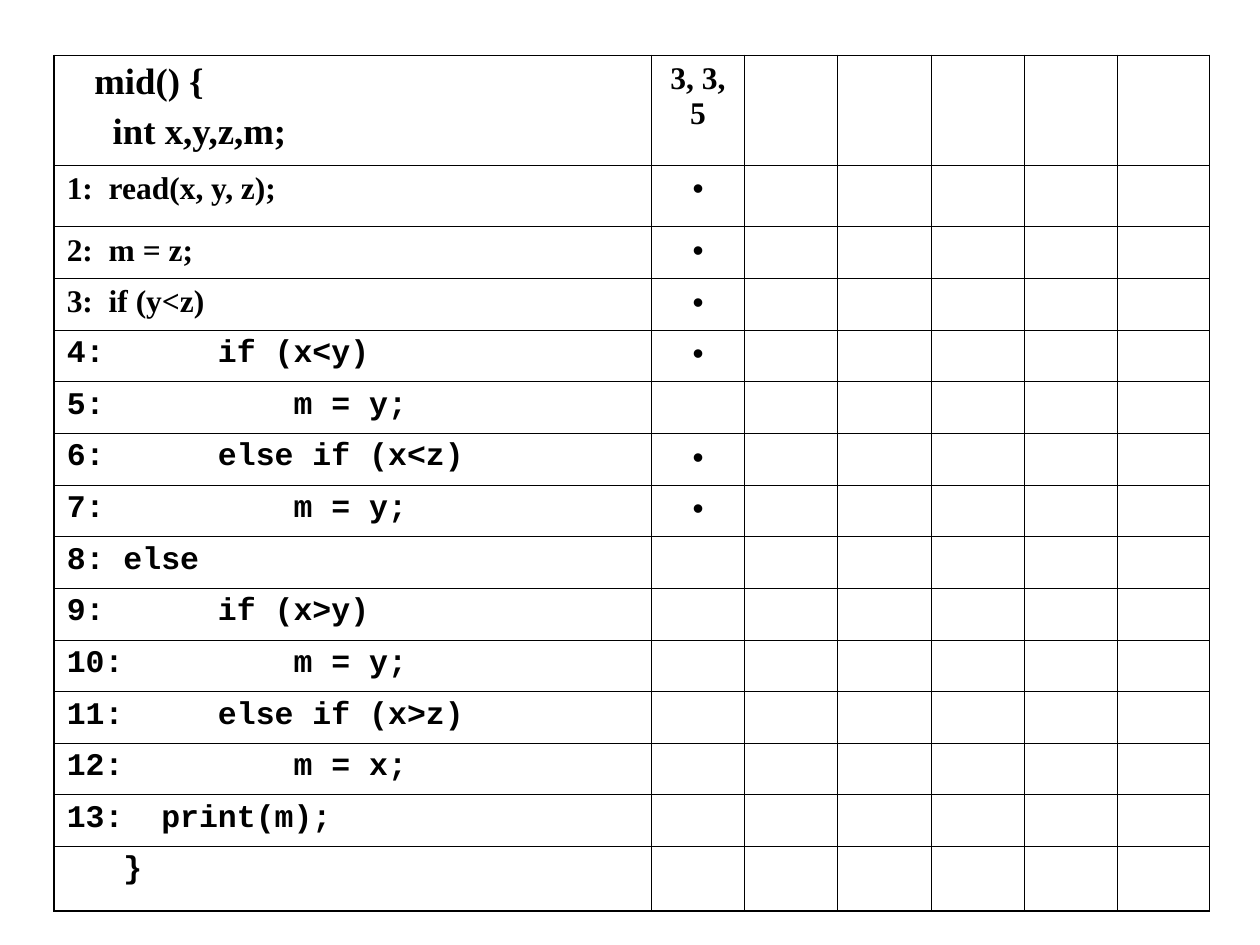
from dataclasses import dataclass

from lxml import etree
from pptx import Presentation
from pptx.dml.color import RGBColor
from pptx.enum.text import PP_ALIGN
from pptx.oxml.ns import qn
from pptx.util import Inches, Pt

CENTER = PP_ALIGN.CENTER
LEFT = PP_ALIGN.LEFT


@dataclass(frozen=True)
class Theme:
    ink: str = "000000"
    paper: str = "FFFFFF"
    serif: str = "Times New Roman"
    mono: str = "Courier New"
    mark: str = "Arial"
    header_size: float = 21
    body_size: float = 18
    header_gap: float = 5.2
    outer_line: float = 1.08
    inner_line: float = 0.45


THEME = Theme()

HEADER = ["   mid() {", "     int x,y,z,m;"]
TEST_INPUT = "3, 3, 5"
STATEMENTS = [
    ("1:  read(x, y, z);", THEME.serif, True),
    ("2:  m = z;", THEME.serif, True),
    ("3:  if (y<z)", THEME.serif, True),
    ("4:      if (x<y)", THEME.mono, True),
    ("5:          m = y;", THEME.mono, False),
    ("6:      else if (x<z)", THEME.mono, True),
    ("7:          m = y;", THEME.mono, True),
    ("8: else", THEME.mono, False),
    ("9:      if (x>y)", THEME.mono, False),
    ("10:         m = y;", THEME.mono, False),
    ("11:     else if (x>z)", THEME.mono, False),
    ("12:         m = x;", THEME.mono, False),
    ("13:  print(m);", THEME.mono, False),
    ("   }", THEME.mono, False),
]

TABLE_LEFT, TABLE_TOP = 0.43, 0.44
COLUMN_WIDTHS = [4.74] + [0.74] * 5 + [0.73]
ROW_HEIGHTS = [0.87, 0.49] + [0.41] * 12 + [0.51]


def write(cell, lines, font, size, bold=True, align=LEFT):
    cell.text_frame.text = "\n".join(lines)
    for index, paragraph in enumerate(cell.text_frame.paragraphs):
        paragraph.alignment = align
        if index:
            paragraph.space_before = Pt(THEME.header_gap)
        for run in paragraph.runs:
            run.font.name = font
            run.font.size = Pt(size)
            run.font.bold = bold
            run.font.color.rgb = RGBColor.from_string(THEME.ink)


def style_cell(cell, outer_edges):
    properties = cell._tc.get_or_add_tcPr()
    for edge, is_outer in outer_edges.items():
        width = THEME.outer_line if is_outer else THEME.inner_line
        line = etree.SubElement(properties, qn(f"a:{edge}"), w=str(Pt(width)))
        fill = etree.SubElement(line, qn("a:solidFill"))
        etree.SubElement(fill, qn("a:srgbClr"), val=THEME.ink)
    cell.fill.solid()
    cell.fill.fore_color.rgb = RGBColor.from_string(THEME.paper)


def add_coverage_table(slide):
    last_row, last_column = len(ROW_HEIGHTS) - 1, len(COLUMN_WIDTHS) - 1
    frame = slide.shapes.add_table(
        len(ROW_HEIGHTS), len(COLUMN_WIDTHS),
        Inches(TABLE_LEFT), Inches(TABLE_TOP),
        Inches(sum(COLUMN_WIDTHS)), Inches(sum(ROW_HEIGHTS)),
    )
    table = frame.table
    table.first_row = False
    table.horz_banding = False
    for column, width in zip(table.columns, COLUMN_WIDTHS):
        column.width = Inches(width)
    for r, height in enumerate(ROW_HEIGHTS):
        table.rows[r].height = Inches(height)
        for c in range(len(COLUMN_WIDTHS)):
            style_cell(table.cell(r, c), {
                "lnL": c == 0, "lnR": c == last_column,
                "lnT": r == 0, "lnB": r == last_row,
            })

    write(table.cell(0, 0), HEADER, THEME.serif, THEME.header_size)
    write(table.cell(0, 1), [TEST_INPUT], THEME.serif, THEME.body_size, align=CENTER)
    for r, (code, font, covered) in enumerate(STATEMENTS, start=1):
        write(table.cell(r, 0), [code], font, THEME.body_size)
        if covered:
            write(table.cell(r, 1), ["•"], THEME.mark, THEME.body_size, False, CENTER)


def main():
    deck = Presentation()
    deck.slide_width, deck.slide_height = Inches(10), Inches(7.5)
    slide = deck.slides.add_slide(deck.slide_layouts[6])
    add_coverage_table(slide)
    deck.save("out.pptx")


if __name__ == "__main__":
    main()
